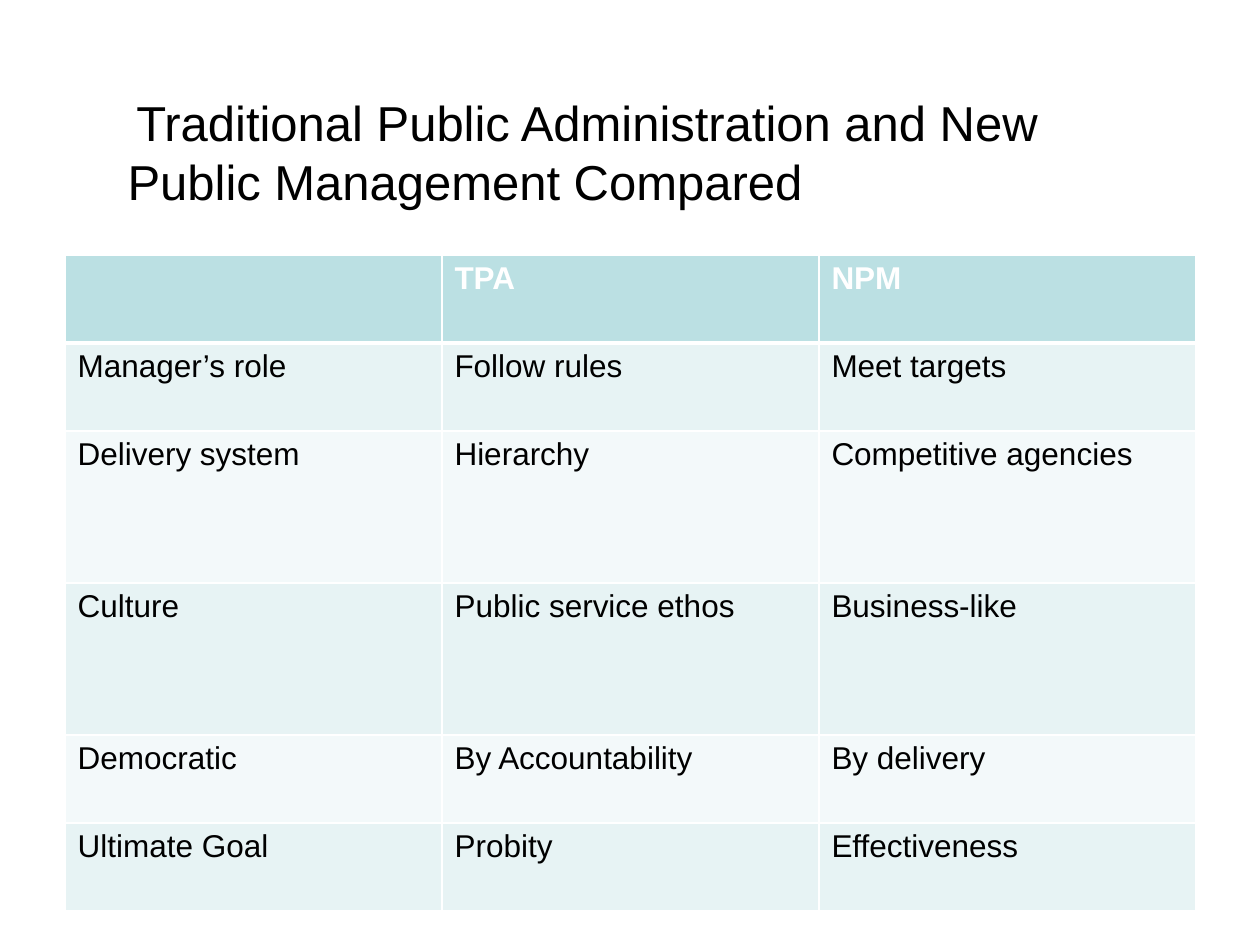
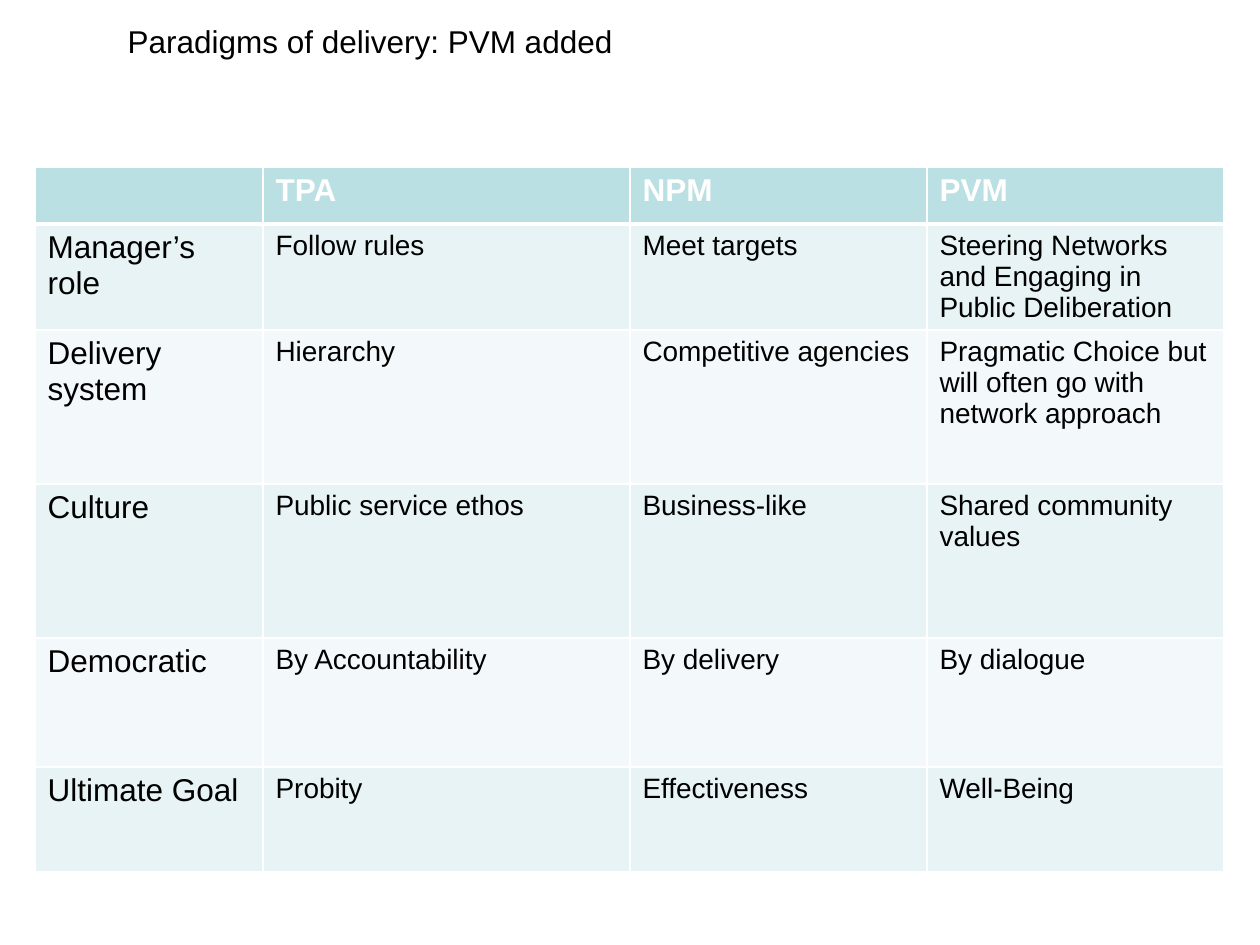
from dataclasses import dataclass

from lxml.etree import fromstring
from pptx import Presentation
from pptx.dml.color import RGBColor as Color
from pptx.enum.text import MSO_ANCHOR as Anchor, MSO_AUTO_SIZE as AutoSize, PP_ALIGN as Align
from pptx.util import Emu, Pt

EMU_PER_PX = 914400 / 126
DRAWING_NS = "http://schemas.openxmlformats.org/drawingml/2006/main"
TITLE_ONLY = 5

COMPARISON = [
    ["", "TPA", "NPM"],
    ["Manager’s role", "Follow rules", "Meet targets"],
    ["Delivery system", "Hierarchy", "Competitive agencies"],
    ["Culture", "Public service ethos", "Business-like"],
    ["Democratic", "By Accountability", "By delivery"],
    ["Ultimate Goal", "Probity", "Effectiveness"],
]
PVM_COLUMN = [
    "PVM",
    "Steering Networks and Engaging in Public Deliberation",
    "Pragmatic Choice but will often go with network approach",
    "Shared community values",
    "By dialogue",
    "Well-Being",
]


@dataclass(frozen=True)
class Theme:
    font: str = "Arial"
    text: str = "000000"
    header_text: str = "FFFFFF"
    header_fill: str = "BBE0E3"
    band_fills: tuple = ("E7F3F4", "F3F9FA")
    border: str = "FFFFFF"
    border_width: int = 1
    header_rule_width: int = 3
    large_size: int = 28
    base_size: int = 18
    small_size: int = 16


def px(length):
    return Emu(round(length * EMU_PER_PX))


def write_text(paragraph, text, *, font, size, color, bold=False):
    run = paragraph.add_run()
    run.text = text
    run.font.name = font
    run.font.size = Pt(size)
    run.font.bold = bold
    run.font.color.rgb = Color.from_string(color)


class Deck:
    def __init__(self, theme):
        self.theme = theme
        self.presentation = Presentation()
        self.presentation.slide_width = px(1260)
        self.presentation.slide_height = px(945)
        self.slide = None

    def add_slide(self):
        layout = self.presentation.slide_layouts[TITLE_ONLY]
        self.slide = self.presentation.slides.add_slide(layout)

    def add_title(self, left, top, width, height, pieces):
        shape = self.slide.shapes.title
        shape.left, shape.top = px(left), px(top)
        shape.width, shape.height = px(width), px(height)
        frame = shape.text_frame
        frame.word_wrap = True
        frame.auto_size = AutoSize.NONE
        frame.vertical_anchor = Anchor.TOP
        paragraph = frame.paragraphs[0]
        paragraph.alignment = Align.LEFT
        for text, size in pieces:
            write_text(paragraph, text, font=self.theme.font, size=size, color=self.theme.text)

    def add_table(self, left, top, widths, heights, rows, value_size):
        theme = self.theme
        table = self.slide.shapes.add_table(
            len(rows), len(widths), px(left), px(top), px(sum(widths)), px(sum(heights))
        ).table
        table.horz_banding = False
        for column, width in zip(table.columns, widths):
            column.width = px(width)
        for row, height in zip(table.rows, heights):
            row.height = px(height)
        for row_index, row in enumerate(rows):
            header = row_index == 0
            fill = theme.header_fill if header else theme.band_fills[(row_index - 1) % 2]
            for column_index, text in enumerate(row):
                cell = table.cell(row_index, column_index)
                cell.fill.solid()
                cell.fill.fore_color.rgb = Color.from_string(fill)
                self.add_borders(cell, row_index)
                if text:
                    write_text(
                        cell.text_frame.paragraphs[0], text,
                        font=theme.font,
                        size=theme.base_size if header or column_index == 0 else value_size,
                        color=theme.header_text if header else theme.text,
                        bold=header,
                    )

    def add_borders(self, cell, row_index):
        theme = self.theme
        rule_side = {0: "B", 1: "T"}.get(row_index)
        properties = cell._tc.get_or_add_tcPr()
        for position, side in enumerate("LRTB"):
            width = theme.header_rule_width if side == rule_side else theme.border_width
            properties.insert(position, fromstring(
                f'<a:ln{side} xmlns:a="{DRAWING_NS}" w="{Pt(width)}"><a:solidFill>'
                f'<a:srgbClr val="{theme.border}"/></a:solidFill></a:ln{side}>'
            ))


def main():
    theme = Theme()
    deck = Deck(theme)

    deck.add_slide()
    deck.add_title(115, 86, 1032, 131, [
        (" ", theme.base_size),
        ("Traditional Public Administration and New Public Management Compared", theme.large_size),
    ])
    deck.add_table(65, 255, [377] * 3, [88, 88, 152, 152, 88, 88], COMPARISON, theme.base_size)

    deck.add_slide()
    deck.add_title(115, 16, 883, 50, [("Paradigms of delivery: PVM added", theme.base_size)])
    with_pvm = [row + [value] for row, value in zip(COMPARISON, PVM_COLUMN)]
    deck.add_table(
        35, 167, [228, 367, 297, 297], [57, 106, 154, 154, 129, 105], with_pvm, theme.small_size
    )

    deck.presentation.save("out.pptx")


if __name__ == "__main__":
    main()
